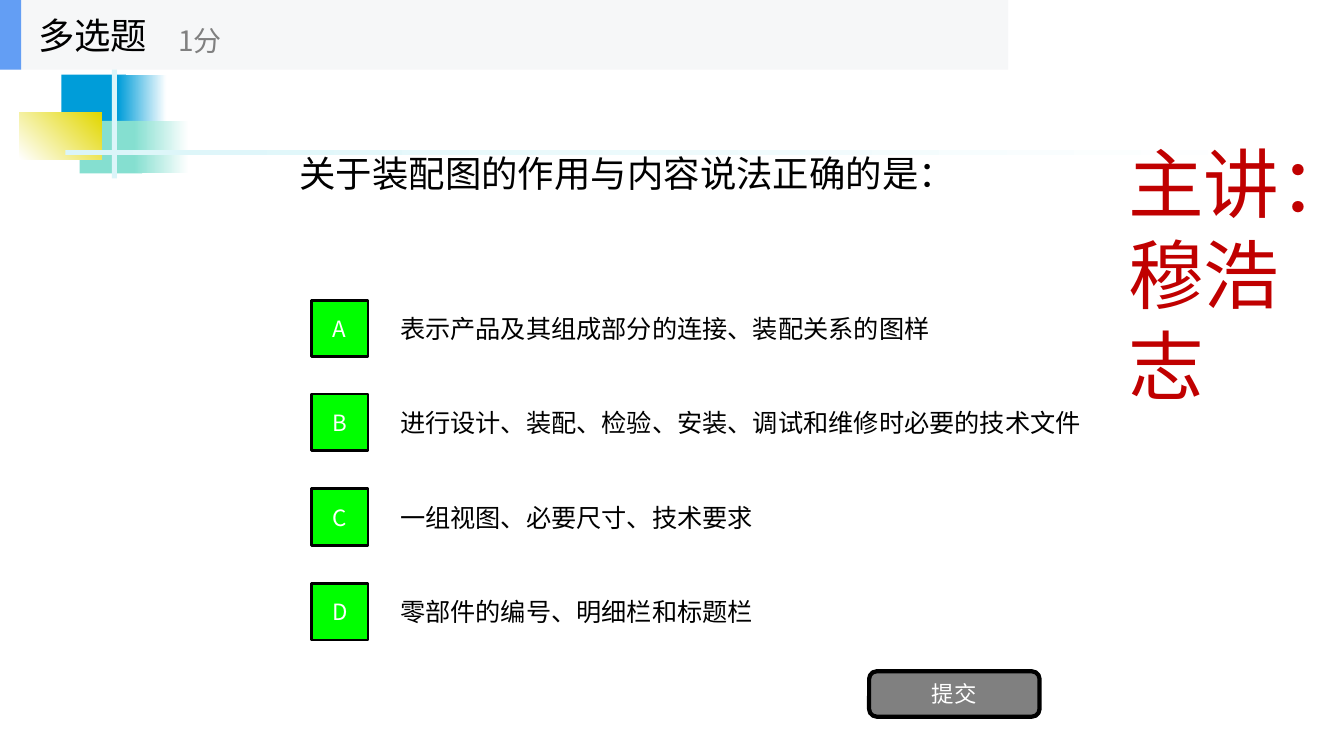
from dataclasses import dataclass

import pptx
import pptx.dml.color
import pptx.enum.shapes
import pptx.enum.text
import pptx.oxml
import pptx.oxml.ns
import pptx.util

EMU_PER_PX = 9144
SHAPE = pptx.enum.shapes.MSO_SHAPE
ALIGN = pptx.enum.text.PP_ALIGN
ANCHOR = pptx.enum.text.MSO_ANCHOR


@dataclass(frozen=True)
class Theme:
    cjk_font: str = "Noto Sans CJK SC"
    latin_font: str = "Arial"
    black: str = "000000"
    white: str = "FFFFFF"
    grey: str = "808080"
    green: str = "00FF00"
    red: str = "C00000"
    blue: str = "009DD9"
    teal: str = "85DFD0"
    yellow: str = "E2D700"
    pale: str = "DBF5F9"
    header: str = "F6F7F8"
    accent: str = "639EF4"
    lecturer_size: int = 54
    heading_size: int = 26
    points_size: int = 20
    option_size: int = 18
    button_size: int = 16


def px(length):
    return pptx.util.Emu(length * EMU_PER_PX)


def rgb(value):
    return pptx.dml.color.RGBColor.from_string(value)


class QuizSlide:
    def __init__(self, presentation, theme):
        self.theme = theme
        self.slide = presentation.slides.add_slide(presentation.slide_layouts[5])
        self.shapes = self.slide.shapes

    def set_text(self, shape, text, size, color, font=None, align=ALIGN.LEFT,
                 anchor=ANCHOR.MIDDLE):
        frame = shape.text_frame
        frame.text = text
        frame.word_wrap = True
        frame.auto_size = pptx.enum.text.MSO_AUTO_SIZE.NONE
        frame.vertical_anchor = anchor
        paragraph = frame.paragraphs[0]
        paragraph.alignment = align
        for run in paragraph.runs:
            run.font.size = pptx.util.Pt(size)
            run.font.color.rgb = rgb(color)
            run.font.name = font or self.theme.cjk_font
            east_asian = pptx.oxml.parse_xml(
                f'<a:ea {pptx.oxml.ns.nsdecls("a")} typeface="{self.theme.cjk_font}"/>')
            run.font._element.find(pptx.oxml.ns.qn("a:latin")).addnext(east_asian)
        return paragraph

    def block(self, box, fill, line=None, line_width=0, kind=SHAPE.RECTANGLE):
        shape = self.shapes.add_shape(kind, *map(px, box))
        shape.shadow.inherit = False
        shape.fill.solid()
        shape.fill.fore_color.rgb = rgb(fill)
        if line:
            shape.line.color.rgb = rgb(line)
            shape.line.width = pptx.util.Pt(line_width)
        else:
            shape.line.fill.background()
        return shape

    def fade(self, box, start, end, angle=0):
        """Add a block whose fill runs from start to end; angle is counter-clockwise."""
        shape = self.block(box, start)
        shape.fill.gradient()
        shape.fill.gradient_angle = angle
        for stop, color, position in zip(shape.fill.gradient_stops, (start, end), (0, 1)):
            stop.color.rgb = rgb(color)
            stop.position = position

    def label(self, box, text, size, color, **style):
        return self.set_text(self.shapes.add_textbox(*map(px, box)), text, size, color, **style)

    def title(self, box, text):
        title = self.shapes.title
        title.left, title.top, title.width, title.height = map(px, box)
        self.set_text(title, text, self.theme.heading_size, self.theme.black)
        self.shapes._spTree.append(title._element)

    def button(self, box, text, fill, line_width, kind=SHAPE.RECTANGLE):
        theme = self.theme
        shape = self.block(box, fill, theme.black, line_width, kind)
        self.set_text(shape, text, theme.button_size, theme.white, align=ALIGN.CENTER)

    def option(self, top, letter, text, width):
        theme = self.theme
        self.label((387, top, width, 70), text, theme.option_size, theme.black,
                   font=theme.latin_font)
        self.button((309, top + 7, 56, 56), letter, theme.green, 2)


OPTIONS = [
    ("A", "表示产品及其组成部分的连接、装配关系的图样", 756),
    ("B", "进行设计、装配、检验、安装、调试和维修时必要的技术文件", 756),
    ("C", "一组视图、必要尺寸、技术要求", 700),
    ("D", "零部件的编号、明细栏和标题栏", 700),
]


def main():
    presentation = pptx.Presentation()
    presentation.slide_width = px(1333)
    presentation.slide_height = px(750)
    theme = Theme()
    quiz = QuizSlide(presentation, theme)

    quiz.block((61, 74, 64, 52), theme.blue)
    quiz.fade((117, 74, 48, 52), theme.blue, theme.white)
    quiz.block((79, 120, 62, 52), theme.teal)
    quiz.fade((133, 120, 54, 52), theme.teal, theme.white)
    quiz.fade((19, 112, 82, 46), theme.white, theme.yellow, angle=45)
    quiz.block((111, 62, 5, 115), theme.pale)
    quiz.fade((65, 149, 1200, 5), theme.pale, theme.white)
    lecturer = quiz.label((1109, 131, 202, 32), "主讲：穆浩志", theme.lecturer_size,
                          theme.red, anchor=ANCHOR.TOP)
    lecturer.line_spacing = pptx.util.Pt(65)

    quiz.title((287, 55, 800, 234), "关于装配图的作用与内容说法正确的是：")
    for row, (letter, text, width) in enumerate(OPTIONS):
        quiz.option(291 + row * 281 // 3, letter, text, width)
    quiz.button((862, 666, 169, 45), "提交", theme.grey, 3, SHAPE.ROUNDED_RECTANGLE)

    quiz.block((0, 0, 1000, 69), theme.header)
    quiz.block((0, 0, 21, 69), theme.accent)
    quiz.label((28, 0, 208, 69), "多选题", theme.heading_size, theme.black)
    quiz.label((167, 12, 250, 56), "1分", theme.points_size, theme.grey)

    presentation.save("out.pptx")


if __name__ == "__main__":
    main()
